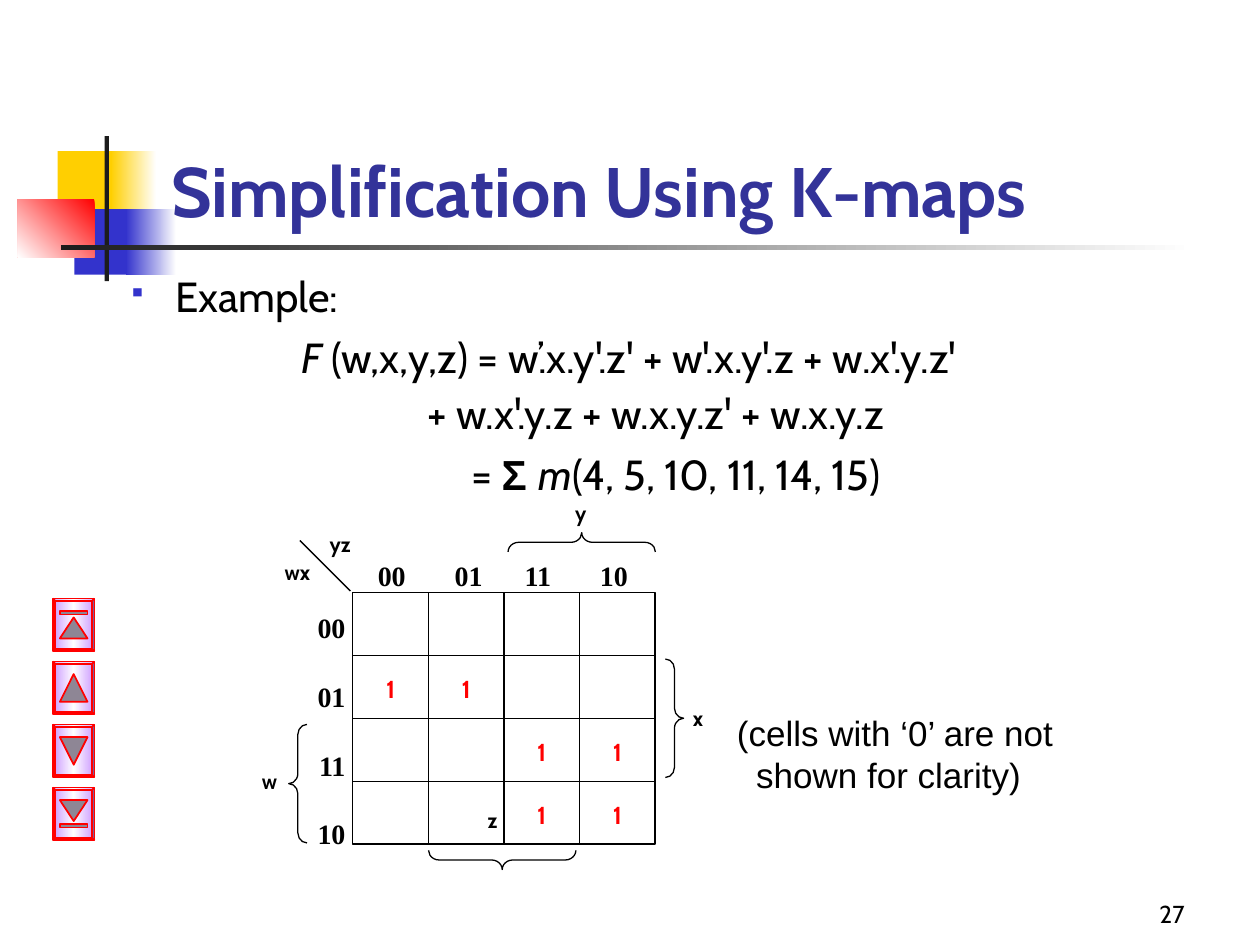
import pptx
import pptx.util
import pptx.oxml
import pptx.oxml.ns
import pptx.dml.color
import pptx.enum.shapes
import pptx.enum.text

Pt = pptx.util.Pt
SHAPE = pptx.enum.shapes.MSO_SHAPE
ALIGN = pptx.enum.text.PP_ALIGN
ANCHOR = pptx.enum.text.MSO_ANCHOR
NS = pptx.oxml.ns.nsdecls("a")

COLORS = {
    "black": "000000", "white": "FFFFFF", "yellow": "FFCF01", "blue": "3333CC",
    "red": "FF0000", "dark": "1C1C1C", "title": "333399", "lilac": "CC99FF",
    "icon": "8E8695",
}

TITLE = {"name": "Cabin", "size": Pt(40), "bold": True}
BODY = {"name": "Cabin", "size": Pt(24)}
VARIABLE = {"name": "Cabin", "size": Pt(12), "bold": True}
ONE = {"name": "Cabin", "size": Pt(14), "bold": True}
HEADER = {"name": "Times New Roman", "size": Pt(16), "bold": True}
NOTE = {"name": "Arial", "size": Pt(20)}
NUMBER = {"name": "Cabin", "size": Pt(14)}

# Karnaugh map grid
LEFT, TOP, CELL_W, CELL_H, N = 201.6, 338.4, 43.2, 36, 4


def rgb(name):
    return pptx.dml.color.RGBColor.from_string(COLORS[name])


def set_gradient(sp, names, angle):
    step = 100000 // (len(names) - 1)
    stops = "".join(
        f'<a:gs pos="{i * step}"><a:srgbClr val="{COLORS[n]}"/></a:gs>'
        for i, n in enumerate(names))
    grad = pptx.oxml.parse_xml(
        f'<a:gradFill {NS} rotWithShape="1"><a:gsLst>{stops}</a:gsLst>'
        f'<a:lin ang="{angle * 60000}" scaled="0"/></a:gradFill>')
    sp._element.spPr.find(pptx.oxml.ns.qn("a:prstGeom")).addnext(grad)


def add_shape(s, kind, box, fill=None, angle=0, line=None, width=0.75, rotation=0):
    """Fill is a colour name, a tuple of gradient colour names, or None."""
    sp = s.shapes.add_shape(kind, *map(Pt, box))
    sp.shadow.inherit = False
    sp.rotation = rotation
    if isinstance(fill, tuple):
        set_gradient(sp, fill, angle)
    elif fill:
        sp.fill.solid()
        sp.fill.fore_color.rgb = rgb(fill)
    else:
        sp.fill.background()
    if line:
        sp.line.color.rgb = rgb(line)
        sp.line.width = Pt(width)
    else:
        sp.line.fill.background()
    return sp


def add_line(s, x1, y1, x2, y2):
    c = s.shapes.add_connector(
        pptx.enum.shapes.MSO_CONNECTOR.STRAIGHT, *map(Pt, (x1, y1, x2, y2)))
    c.line.color.rgb = rgb("black")
    c.line.width = Pt(0.75)
    c._element.spPr.append(pptx.oxml.parse_xml(f"<a:effectLst {NS}/>"))
    return c


def add_run(p, text, fmt, color="black", **extra):
    r = p.add_run()
    r.text = text
    for key, value in {**fmt, **extra}.items():
        setattr(r.font, key, value)
    r.font.color.rgb = rgb(color)


def set_indent(p, left, hanging=0):
    pPr = p._p.get_or_add_pPr()
    pPr.set("marL", str(Pt(left)))
    pPr.set("indent", str(Pt(-hanging)))
    return pPr


def add_text(s, box, lines, fmt, color="black", align=ALIGN.LEFT, gap=0):
    sp = s.shapes.add_textbox(*map(Pt, box))
    tf = sp.text_frame
    tf.word_wrap = True
    for i, text in enumerate(lines):
        p = tf.paragraphs[0] if i == 0 else tf.add_paragraph()
        p.alignment = align
        if i:
            p.space_before = Pt(gap)
        add_run(p, text, fmt, color)
    return sp


def add_decoration(s):
    rect = SHAPE.RECTANGLE
    add_shape(s, rect, (33, 86.4, 34.6, 37.4), "yellow")
    add_shape(s, rect, (63.4, 86.4, 25.9, 37.4), ("white", "yellow"), 180)
    add_shape(s, rect, (42.5, 119.5, 33.1, 37.4), "blue")
    add_shape(s, rect, (72, 119.5, 28.8, 37.4), ("white", "blue"), 180)
    add_shape(s, rect, (10.1, 113.8, 43.9, 33.1), ("red", "white"), 135)
    add_shape(s, rect, (59.8, 77.8, 2.4, 82.8), "dark")
    add_shape(s, rect, (34.6, 140.2, 648, 2.5), ("white", "dark"), 180)


def add_title(s):
    sp = s.shapes.title
    sp.left, sp.top, sp.width, sp.height = map(Pt, (90.7, 48.2, 613.4, 87.8))
    tf = sp.text_frame
    tf.vertical_anchor = ANCHOR.BOTTOM
    tf.auto_size = pptx.enum.text.MSO_AUTO_SIZE.NONE
    p = tf.paragraphs[0]
    p.alignment = ALIGN.LEFT
    add_run(p, "Simplification Using K-maps", TITLE, "title")
    # Keep the title in front of the decoration
    sp._element.getparent().append(sp._element)


def add_body(s):
    tf = add_text(s, (66.2, 151.2, 635.8, 149.8), ["Example:"], BODY).text_frame
    pPr = set_indent(tf.paragraphs[0], 27, 27)
    for tag in (f'<a:buClr {NS}><a:srgbClr val="{COLORS["blue"]}"/></a:buClr>',
                f'<a:buSzPct {NS} val="60000"/>', f'<a:buChar {NS} char="▪"/>'):
        pPr.append(pptx.oxml.parse_xml(tag))

    italic, sigma = {"italic": True}, {"name": "Arial", "bold": True}
    formula = [
        (99, 6, [("F", italic), (" (w,x,y,z) = w’.x.y'.z' + w'.x.y'.z + w.x'.y.z'", {})]),
        (171, 3, [("+ w.x'.y.z + w.x.y.z' + w.x.y.z", {})]),
        (196, 6, [("= ", {}), ("Σ ", sigma), ("m", italic),
                  ("(4, 5, 10, 11, 14, 15)", {})]),
    ]
    for left, gap, runs in formula:
        p = tf.add_paragraph()
        set_indent(p, left)
        p.space_before = Pt(gap)
        for text, extra in runs:
            add_run(p, text, BODY, **extra)


def add_grid(s):
    right, bottom = LEFT + N * CELL_W, TOP + N * CELL_H
    frame = add_shape(s, SHAPE.RECTANGLE, (LEFT, TOP, N * CELL_W, N * CELL_H), line="black")
    for i in range(1, N):
        x, y = LEFT + i * CELL_W, TOP + i * CELL_H
        for c, sites in ((add_line(s, LEFT, y, right, y), (1, 3)),
                         (add_line(s, x, TOP, x, bottom), (0, 2))):
            if 2 * i == N:
                c.begin_connect(frame, sites[0])
                c.end_connect(frame, sites[1])
    for row, col in ((1, 0), (1, 1), (2, 2), (2, 3), (3, 2), (3, 3)):
        add_text(s, (LEFT + col * CELL_W, TOP + row * CELL_H + 7.2, CELL_W, 28.8),
                 ["1"], ONE, "red", ALIGN.CENTER)


def add_grid_labels(s):
    # Row and column codes
    add_text(s, (172.8, 345.6, 31.7, 149), ["00", "01", "11", "10"], HEADER,
             align=ALIGN.RIGHT, gap=20)
    sp = add_text(s, (208.8, 315.4, 161.3, 28.8), ["00\t01\t11\t10"], HEADER)
    tabs = "".join(f'<a:tab pos="{Pt(x)}" algn="l"/>' for x in (44, 84, 127))
    sp.text_frame.paragraphs[0]._p.get_or_add_pPr().append(
        pptx.oxml.parse_xml(f"<a:tabLst {NS}>{tabs}</a:tabLst>"))
    add_line(s, 200.2, 337.7, 171.4, 308.9)

    # Variable names
    for name, x, y, w in (("z", 265.7, 457.9, 31.7), ("w", 138.2, 435.6, 31.7),
                          ("y", 316.1, 282.2, 31.7), ("x", 383, 399.6, 31.7),
                          ("wx", 151.2, 316.1, 37.4), ("yz", 175.7, 300.2, 37.4)):
        add_text(s, (x, y, w, 23), [name], VARIABLE, align=ALIGN.CENTER)

    # Braces
    for kind, box, rotation in (
            (SHAPE.LEFT_BRACE, (165, 414, 10.4, 67.7), 0),
            (SHAPE.LEFT_BRACE, (326.9, 267.8, 11, 84.2), 90),
            (SHAPE.LEFT_BRACE, (281.5, 449.3, 11, 84.2), 270),
            (SHAPE.RIGHT_BRACE, (380.2, 376.6, 10.4, 67.7), 0)):
        sp = add_shape(s, kind, box, line="black", rotation=rotation)
        sp.adjustments[0] = 0.55


def add_button(s, y, arrow_top, arrow_h, rotation, bar_top=None):
    x, style = 30.2, {"line": "red", "width": 1}
    sp = add_shape(s, SHAPE.BEVEL, (x, y, 23.8, 30.2), ("lilac", "white", "lilac"), **style)
    sp.adjustments[0] = 0.06
    add_shape(s, SHAPE.ISOSCELES_TRIANGLE, (x + 4, y + arrow_top, 15.8, arrow_h),
              "icon", rotation=rotation, **style)
    if bar_top is not None:
        add_shape(s, SHAPE.RECTANGLE, (x + 4, y + bar_top, 15.8, 2), "icon", **style)


def main():
    prs = pptx.Presentation()
    prs.slide_width, prs.slide_height = Pt(720), Pt(540)
    s = prs.slides.add_slide(prs.slide_layouts[5])

    add_decoration(s)
    add_title(s)
    add_body(s)
    add_grid(s)
    add_grid_labels(s)

    # Note beside the map
    note = add_text(s, (414, 403.2, 216, 55.4),
                    ["(cells with ‘0’ are not", "shown for clarity)"], NOTE)
    set_indent(note.text_frame.paragraphs[1], 11)

    # Navigation buttons: first, previous, next, last
    for i, button in enumerate(((10.8, 12, 0, 7.2), (7.2, 15.8, 0),
                                (7.2, 15.8, 180), (7.2, 12, 180, 20.9))):
        add_button(s, 342 + 36 * i, *button)

    # Slide number
    number = add_text(s, (534.2, 498.2, 149.8, 36), ["27"], NUMBER, align=ALIGN.RIGHT)
    number.text_frame.vertical_anchor = ANCHOR.BOTTOM

    prs.save("out.pptx")


if __name__ == "__main__":
    main()
